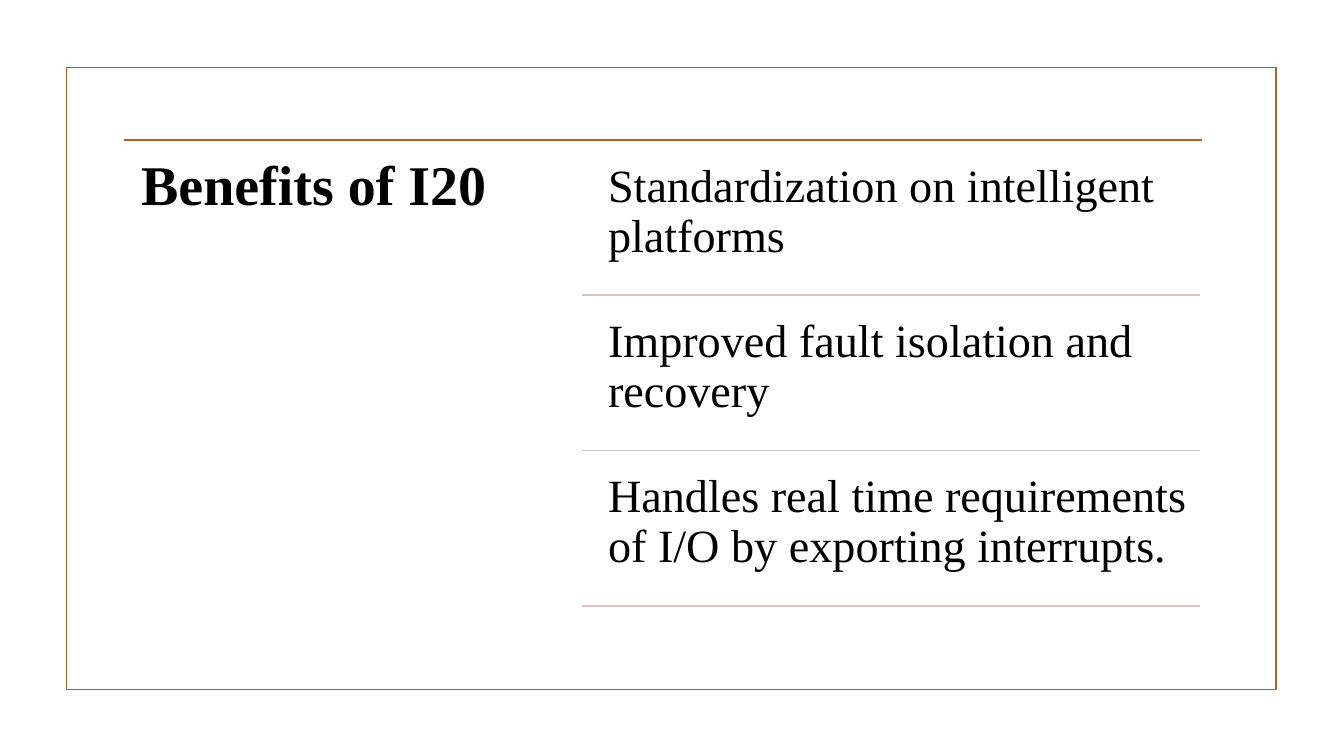
from dataclasses import dataclass

from lxml import etree
from pptx import Presentation
from pptx import util as u
from pptx.dml.color import RGBColor
from pptx.enum import shapes, text
from pptx.oxml.ns import qn


@dataclass(frozen=True)
class Theme:
    font: str = "Times New Roman"
    ink: RGBColor = RGBColor(0x00, 0x00, 0x00)
    accent: RGBColor = RGBColor(0xB1, 0x5E, 0x28)
    divider: RGBColor = RGBColor(0xDD, 0xC5, 0xBE)
    heading_size: int = 40
    benefit_size: int = 33
    rule_width: float = 1.25


theme = Theme()
PX = u.Inches(1) // 100

deck = Presentation()
deck.slide_width, deck.slide_height = 1333 * PX, 750 * PX
slide = deck.slides.add_slide(deck.slide_layouts[6])


def add_rule(left, right, y, color):
    rule = slide.shapes.add_connector(
        shapes.MSO_CONNECTOR.STRAIGHT, left * PX, y * PX, right * PX, y * PX)
    rule.line.color.rgb = color
    rule.line.width = u.Pt(theme.rule_width)
    etree.SubElement(rule._element.spPr, qn("a:effectLst"))


def add_text(wording, box, inset, size, bold=False):
    frame = slide.shapes.add_textbox(*(n * PX for n in box)).text_frame
    frame_format = {"word_wrap": True, "vertical_anchor": text.MSO_ANCHOR.TOP}
    for side in ("left", "top", "right", "bottom"):
        frame_format[f"margin_{side}"] = inset * PX
    for name, value in frame_format.items():
        setattr(frame, name, value)
    paragraph = frame.paragraphs[0]
    paragraph.line_spacing = 0.9
    run = paragraph.add_run()
    run.text = wording
    font_format = {"name": theme.font, "size": u.Pt(size), "bold": bold}
    for name, value in font_format.items():
        setattr(run.font, name, value)
    run.font.color.rgb = theme.ink


border = slide.shapes.add_shape(
    shapes.MSO_SHAPE.RECTANGLE, 66 * PX, 67 * PX, 1200 * PX, 617 * PX)
border.shadow.inherit = False
border.fill.background()
border.line.color.rgb = theme.accent
border.line.width = u.Pt(theme.rule_width)

add_rule(123, 1192, 139, theme.accent)
add_text("Benefits of I20", (123, 139, 455, 468), 17, theme.heading_size, bold=True)

benefits = [
    "Standardization on intelligent platforms",
    "Improved fault isolation and recovery",
    "Handles real time requirements of I/O by exporting interrupts.",
]
first_top, row_height, row_pitch = 147, 146, 154
for row, benefit in enumerate(benefits):
    top = first_top + row * row_pitch
    add_text(benefit, (589, top, 602, row_height), 14, theme.benefit_size)
    add_rule(577, 1190, top + row_height, theme.divider)

deck.save("out.pptx")
